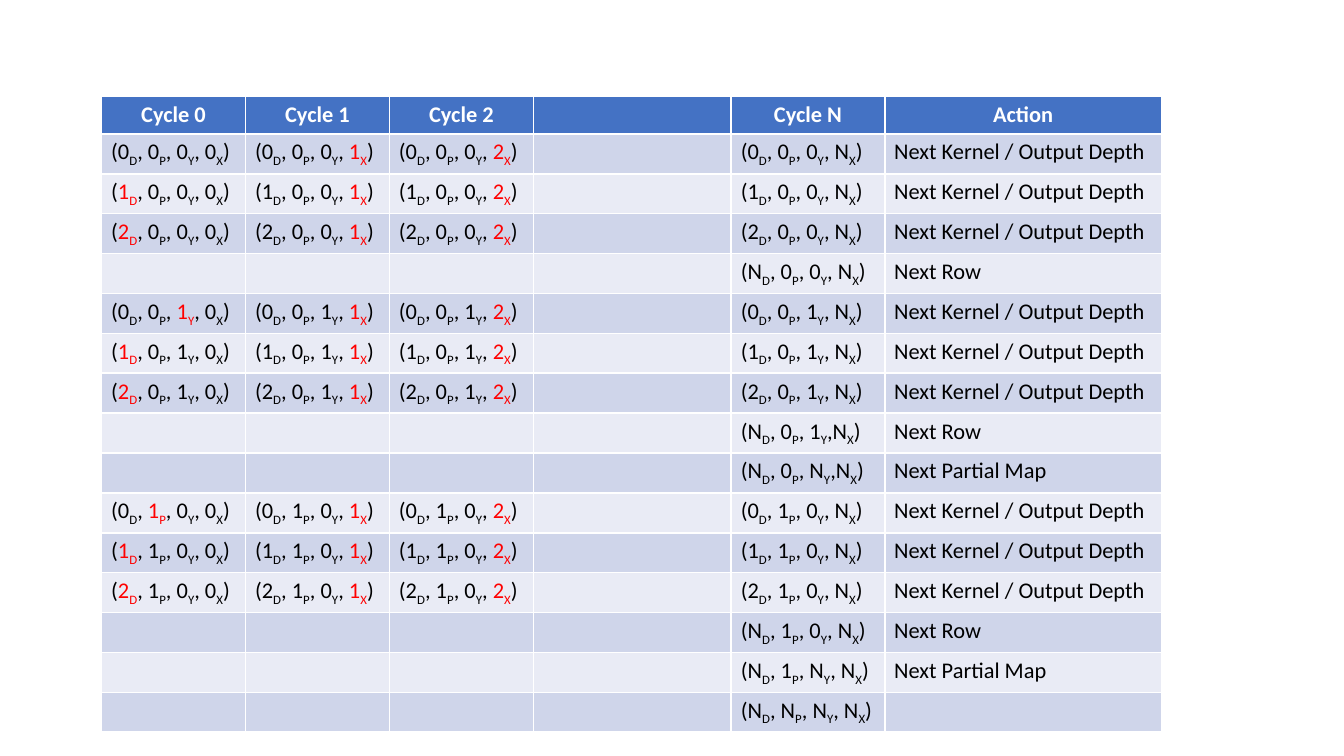
from pptx import Presentation
from pptx.dml.color import RGBColor
from pptx.enum import text
from pptx.util import Cm, Pt

HEADERS = ["Cycle 0", "Cycle 1", "Cycle 2", "", "Cycle N", "Action"]
COLUMN_WIDTHS = [2.72, 2.72, 2.72, 3.74, 2.9, 5.23]
ROW_HEIGHT = 0.71
AXES = "DPYX"
KERNEL = "Next Kernel / Output Depth"
ROW = "Next Row"
PARTIAL = "Next Partial Map"

# indices, axis that changed in cycle 0, action, separator before last index
STEPS = [
    ("000", "", KERNEL, ", "),
    ("100", "D", KERNEL, ", "),
    ("200", "D", KERNEL, ", "),
    ("N00", "", ROW, ", "),
    ("001", "Y", KERNEL, ", "),
    ("101", "D", KERNEL, ", "),
    ("201", "D", KERNEL, ", "),
    ("N01", "", ROW, ","),
    ("N0N", "", PARTIAL, ","),
    ("010", "P", KERNEL, ", "),
    ("110", "D", KERNEL, ", "),
    ("210", "D", KERNEL, ", "),
    ("N10", "", ROW, ", "),
    ("N1N", "", PARTIAL, ", "),
    ("NNN", "", "", ", "),
]


def color(value):
    return RGBColor.from_string(value)


def add_run(paragraph, content, tint=None, subscript=False):
    run = paragraph.add_run()
    run.text = content
    if tint:
        run.font.color.rgb = color(tint)
    if subscript:
        run.font._element.set("baseline", "-25000")


def write_index(paragraph, indices, changed, last_separator):
    separators = ["(", ", ", ", ", last_separator]
    for separator, index, axis in zip(separators, indices, AXES):
        if axis == changed:
            add_run(paragraph, separator)
            add_run(paragraph, index, "FF0000")
            add_run(paragraph, axis, "FF0000", True)
        else:
            add_run(paragraph, separator + index)
            add_run(paragraph, axis, subscript=True)
    add_run(paragraph, ")")


def style_cell(cell, fill, tint, bold):
    cell.fill.solid()
    cell.fill.fore_color.rgb = color(fill)
    cell.margin_left = cell.margin_right = Cm(0.18)
    cell.margin_top = cell.margin_bottom = Cm(0.09)
    paragraph = cell.text_frame.paragraphs[0]
    font = paragraph.font
    font.name, font.size, font.bold = "Calibri", Pt(12), bold
    font.color.rgb = color(tint)
    return paragraph


presentation = Presentation()
presentation.slide_width, presentation.slide_height = Cm(25.4), Cm(14.29)
slide = presentation.slides.add_slide(presentation.slide_layouts[6])
table = slide.shapes.add_table(
    len(STEPS) + 1, len(HEADERS), Cm(1.92), Cm(1.82),
    Cm(sum(COLUMN_WIDTHS)), Cm(ROW_HEIGHT * (len(STEPS) + 1))).table
for column, width in zip(table.columns, COLUMN_WIDTHS):
    column.width = Cm(width)

for cell, header in zip(table.rows[0].cells, HEADERS):
    paragraph = style_cell(cell, "4472C4", "FFFFFF", True)
    paragraph.alignment = text.PP_ALIGN.CENTER
    if header:
        add_run(paragraph, header)

for number, (indices, changed, action, separator) in enumerate(STEPS, 1):
    fill = "CFD5EA" if number % 2 else "E9EBF5"
    paragraphs = [style_cell(cell, fill, "000000", False)
                  for cell in table.rows[number].cells]
    if indices[0] != "N":
        for cycle in range(3):
            write_index(paragraphs[cycle], indices + str(cycle),
                        "X" if cycle else changed, separator)
    write_index(paragraphs[4], indices + "N", "", separator)
    if action:
        add_run(paragraphs[5], action)

presentation.save("out.pptx")
